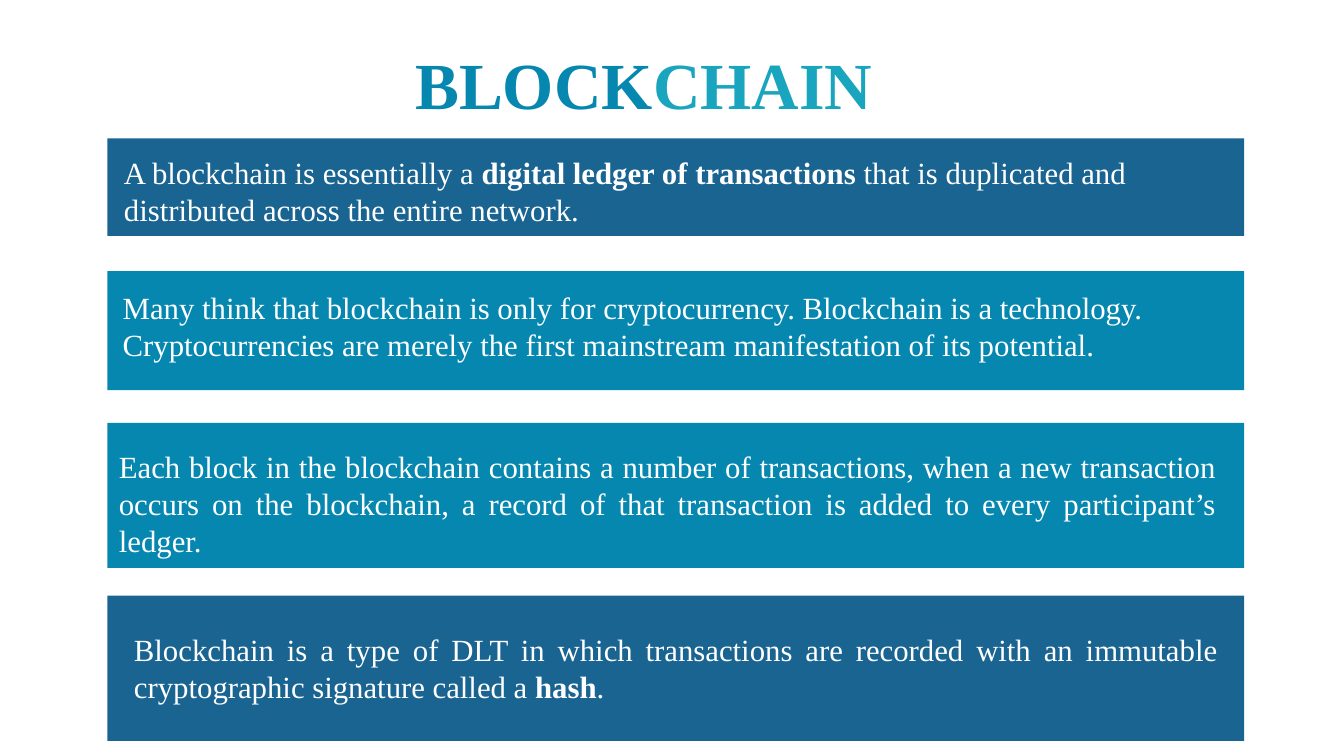
from dataclasses import dataclass

from pptx import Presentation
from pptx.dml.color import RGBColor
from pptx.enum.shapes import MSO_SHAPE
from pptx.enum.text import MSO_ANCHOR, MSO_AUTO_SIZE, PP_ALIGN
from pptx.slide import Slide
from pptx.util import Pt

COLORS = {"navy": "196491", "blue": "0587AF", "teal": "19A5BE", "white": "FFFFFF"}
FONT = "Times New Roman"
CARD_LEFT, CARD_WIDTH = 76.7, 812


@dataclass(frozen=True)
class Piece:
    """A stretch of text with one look."""
    text: str
    color: str = "white"
    bold: bool = False


@dataclass(frozen=True)
class Card:
    """A coloured band and the (left, top, width, height) of its text."""
    top: float
    height: float
    color: str
    text_box: tuple[float, float, float, float]
    align: PP_ALIGN
    pieces: tuple[Piece, ...]


CARDS = (
    Card(98.8, 69.8, "navy", (81.4, 106.6, 793.4, 60.5), PP_ALIGN.LEFT, (
        Piece("A blockchain is essentially a "),
        Piece("digital ledger of transactions", bold=True),
        Piece(" that is duplicated and distributed across the entire network."))),
    Card(193.7, 85, "blue", (80.6, 203, 793.4, 60.5), PP_ALIGN.LEFT, (
        Piece("Many think that blockchain is only for cryptocurrency. Blockchain is a "
              "technology. Cryptocurrencies are merely the first mainstream "
              "manifestation of its potential."),)),
    Card(302, 103.7, "blue", (77.8, 316.1, 797.8, 101.5), PP_ALIGN.JUSTIFY, (
        Piece("Each block in the blockchain contains a number of transactions, when a "
              "new transaction occurs on the blockchain, a record of that transaction "
              "is added to every participant’s ledger."),)),
    Card(425.5, 103.7, "navy", (88.6, 447.1, 788.4, 60.5), PP_ALIGN.JUSTIFY, (
        Piece("Blockchain is a type of DLT in which transactions are recorded with an "
              "immutable cryptographic signature called a "),
        Piece("hash", bold=True),
        Piece("."))),
)


def write_pieces(p, pieces: tuple[Piece, ...], size: float) -> None:
    """Fill a paragraph with formatted runs."""
    for piece in pieces:
        r = p.add_run()
        r.text = piece.text
        r.font.name = FONT
        r.font.size = Pt(size)
        r.font.bold = piece.bold
        r.font.color.rgb = RGBColor.from_string(COLORS[piece.color])


def draw_title(s: Slide) -> None:
    """Place the two-coloured heading in the title placeholder."""
    sp = s.shapes.title
    sp.left, sp.top, sp.width, sp.height = Pt(260), Pt(29.5), Pt(400), Pt(60)
    tf = sp.text_frame
    tf.word_wrap = True
    tf.auto_size = MSO_AUTO_SIZE.NONE
    tf.vertical_anchor = MSO_ANCHOR.MIDDLE
    p = tf.paragraphs[0]
    p.alignment = PP_ALIGN.CENTER
    p.line_spacing = 1.0
    write_pieces(p, (Piece("BLOCK", "blue", True), Piece("CHAIN", "teal", True)), 47)


def draw_card(s: Slide, card: Card) -> None:
    """Draw one band with its text."""
    sp = s.shapes.add_shape(MSO_SHAPE.RECTANGLE, Pt(CARD_LEFT), Pt(card.top),
                            Pt(CARD_WIDTH), Pt(card.height))
    sp.shadow.inherit = False
    sp.fill.solid()
    sp.fill.fore_color.rgb = RGBColor.from_string(COLORS[card.color])
    sp.line.fill.background()
    tf = s.shapes.add_textbox(*map(Pt, card.text_box)).text_frame
    tf.word_wrap = True
    tf.auto_size = MSO_AUTO_SIZE.SHAPE_TO_FIT_TEXT
    p = tf.paragraphs[0]
    p.alignment = card.align
    write_pieces(p, card.pieces, 22)


def main() -> None:
    """Build and save the slide."""
    prs = Presentation()
    prs.slide_width, prs.slide_height = Pt(960), Pt(540)
    s = prs.slides.add_slide(prs.slide_layouts[5])
    draw_title(s)
    for card in CARDS:
        draw_card(s, card)
    prs.save("out.pptx")


if __name__ == "__main__":
    main()
